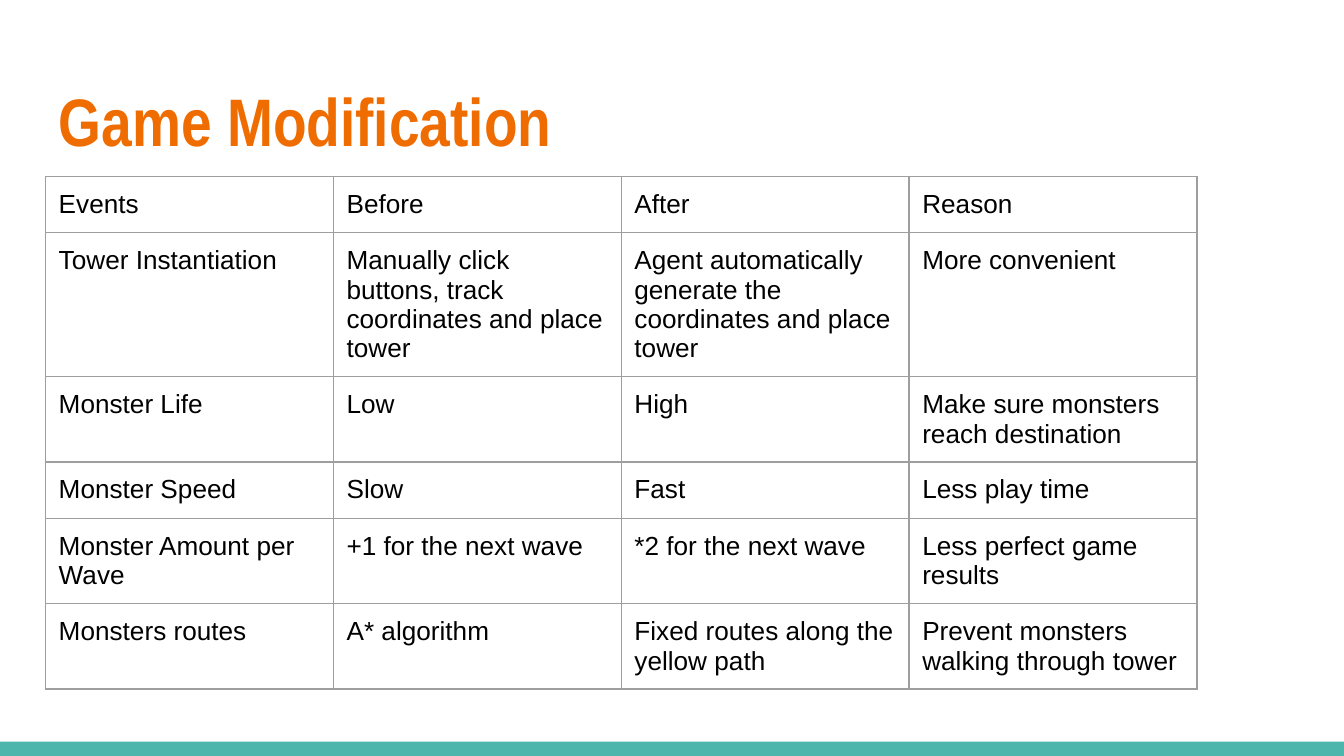
from lxml import etree
from pptx import Presentation
from pptx.dml.color import RGBColor
from pptx.enum.shapes import MSO_SHAPE
from pptx.enum.text import MSO_ANCHOR, MSO_AUTO_SIZE, PP_ALIGN
from pptx.oxml.ns import qn
from pptx.util import Cm, Pt

RECT = MSO_SHAPE.RECTANGLE
TOP = MSO_ANCHOR.TOP
NO_FIT = MSO_AUTO_SIZE.NONE
LEFT = PP_ALIGN.LEFT

ORANGE = RGBColor(0xEF, 0x6C, 0x00)
TEAL = RGBColor(0x4D, 0xB6, 0xAC)
GRAY = RGBColor(0x9E, 0x9E, 0x9E)
BLACK = RGBColor(0x00, 0x00, 0x00)

MARGIN = Cm(0.86)
INSET = Cm(0.25)
COL_WIDTH = Cm(5.44)
ROW_HEIGHT = Cm(1.07)
TABLE_HEIGHT = Cm(10.16)

ROWS = [
    ("Events", "Before", "After", "Reason"),
    ("Tower Instantiation",
     "Manually click buttons, track coordinates and place tower",
     "Agent automatically generate the coordinates and place tower",
     "More convenient"),
    ("Monster Life", "Low", "High", "Make sure monsters reach destination"),
    ("Monster Speed", "Slow", "Fast", "Less play time"),
    ("Monster Amount per Wave", "+1 for the next wave",
     "*2 for the next wave", "Less perfect game results"),
    ("Monsters routes", "A* algorithm", "Fixed routes along the yellow path",
     "Prevent monsters walking through tower"),
]


def set_text(tf, text, font, size, color, bold=False):
    """Fill a text frame with one left-aligned formatted paragraph."""
    tf.text = text
    p = tf.paragraphs[0]
    p.alignment = LEFT
    r = p.runs[0]
    r.font.name = font
    r.font.size = Pt(size)
    r.font.bold = bold
    r.font.color.rgb = color


def set_insets(obj):
    """Give a cell or text frame equal margins on all sides."""
    obj.margin_left = obj.margin_right = INSET
    obj.margin_top = obj.margin_bottom = INSET


def set_borders(cell, color, width):
    """Draw a solid line on each side of a cell."""
    tcPr = cell._tc.get_or_add_tcPr()
    for i, side in enumerate(("a:lnL", "a:lnR", "a:lnT", "a:lnB")):
        ln = etree.Element(qn(side), w=str(Pt(width)))
        fill = etree.SubElement(ln, qn("a:solidFill"))
        etree.SubElement(fill, qn("a:srgbClr"), val=str(color))
        tcPr.insert(i, ln)


def add_title(s, text):
    """Place and format the title placeholder."""
    sp = s.shapes.title
    sp.left, sp.top, sp.width, sp.height = MARGIN, Cm(1.24), Cm(23.67), Cm(1.96)
    tf = sp.text_frame
    set_text(tf, text, "Arial Narrow", 36, ORANGE, bold=True)
    set_insets(tf)
    tf.word_wrap = True
    tf.auto_size = NO_FIT
    tf.vertical_anchor = TOP


def add_grid(s, rows):
    """Add a plain bordered table with equal columns."""
    n_cols = len(rows[0])
    frame = s.shapes.add_table(len(rows), n_cols, MARGIN, Cm(3.33),
                               COL_WIDTH * n_cols, ROW_HEIGHT * len(rows))
    table = frame.table
    table.first_row = table.horz_banding = False
    for i, row in enumerate(rows):
        for j, text in enumerate(row):
            cell = table.cell(i, j)
            set_text(cell.text_frame, text, "Arial", 14, BLACK)
            set_insets(cell)
            cell.vertical_anchor = TOP
            cell.fill.background()
            set_borders(cell, GRAY, 0.75)
    frame.height = TABLE_HEIGHT


def add_footer_bar(s, prs):
    """Add the coloured bar along the bottom edge."""
    height = Cm(0.27)
    sp = s.shapes.add_shape(RECT, 0, prs.slide_height - height,
                            prs.slide_width, height)
    sp.shadow.inherit = False
    sp.fill.solid()
    sp.fill.fore_color.rgb = TEAL
    sp.line.fill.background()


def main():
    """Build the slide and save it."""
    prs = Presentation()
    prs.slide_width, prs.slide_height = Cm(25.4), Cm(14.29)
    s = prs.slides.add_slide(prs.slide_layouts[5])
    add_footer_bar(s, prs)
    add_title(s, "Game Modification")
    add_grid(s, ROWS)
    prs.save("out.pptx")


if __name__ == "__main__":
    main()
